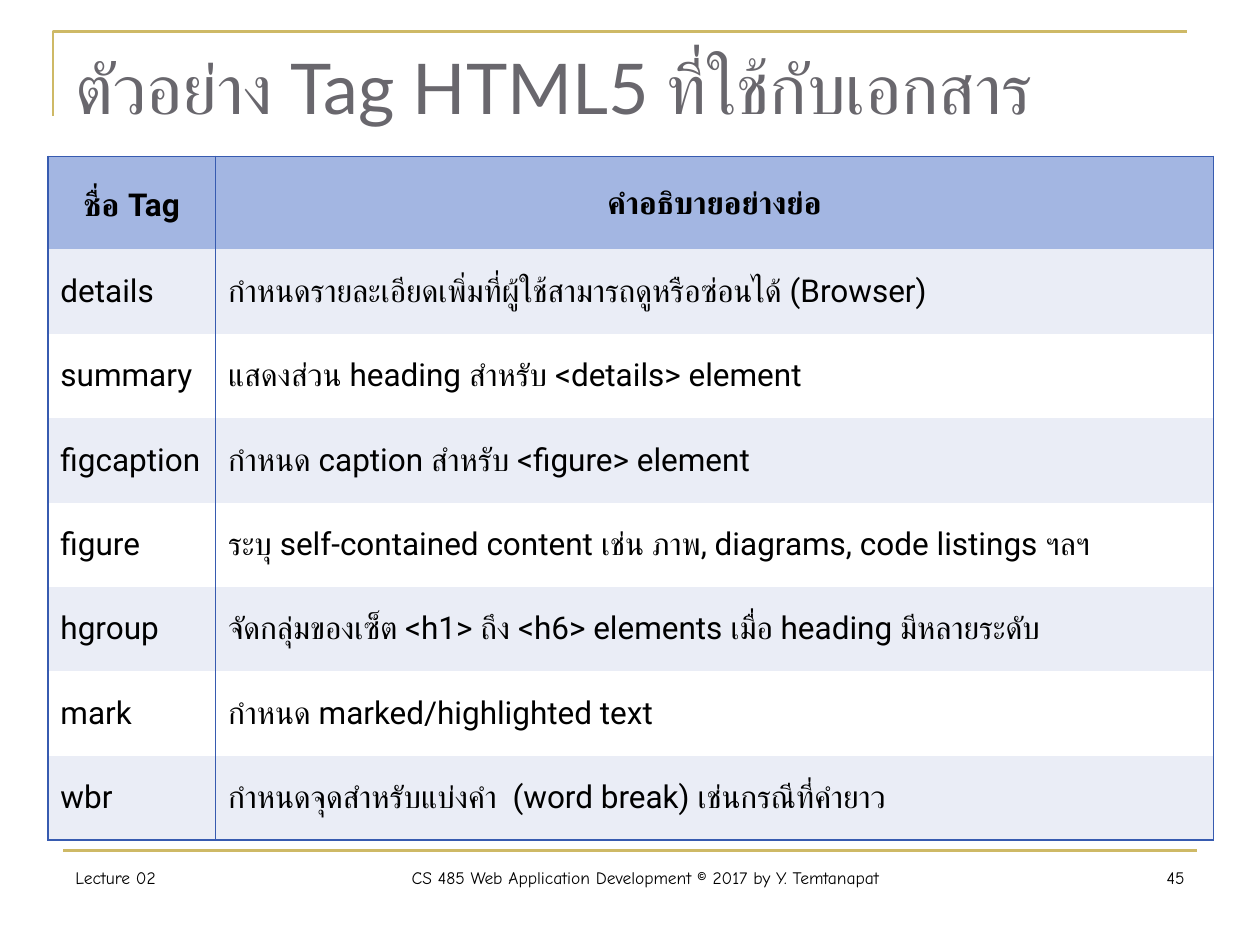
from lxml import etree
from pptx import Presentation
from pptx.dml.color import RGBColor
from pptx.enum import shapes, text
from pptx.oxml.ns import qn
from pptx.util import Inches, Pt

# Content
TITLE = "ตัวอย่าง Tag HTML5 ที่ใช้กับเอกสาร"
HEADER = ("ชื่อ Tag", "คำอธิบายอย่างย่อ")
TAGS = [
    ("details", "กำหนดรายละเอียดเพิ่มที่ผู้ใช้สามารถดูหรือซ่อนได้ (Browser)"),
    ("summary", "แสดงส่วน heading สำหรับ <details> element"),
    ("figcaption", "กำหนด caption สำหรับ <figure> element"),
    ("figure", "ระบุ self-contained content เช่น ภาพ, diagrams, code listings ฯลฯ"),
    ("hgroup", "จัดกลุ่มของเซ็ต <h1> ถึง <h6> elements เมื่อ heading มีหลายระดับ"),
    ("mark", "กำหนด marked/highlighted text"),
    ("wbr", "กำหนดจุดสำหรับแบ่งคำ  (word break) เช่นกรณีที่คำยาว"),
]
LEFT, CENTER, RIGHT = text.PP_ALIGN.LEFT, text.PP_ALIGN.CENTER, text.PP_ALIGN.RIGHT
FOOTERS = [  # wording, width, alignment
    ("Lecture 02", 1.61, LEFT),
    ("CS 485 Web Application Development © 2017 by Y. Temtanapat", 6.02, CENTER),
    ("45", 1.37, RIGHT),
]
COLUMN_WIDTHS = (1.33, 7.92)
HEADER_HEIGHT, ROW_HEIGHT = 0.74, 0.67


class Theme:
    title_font, table_font, footer_font = "Lato", "Roboto", "Comic Neue"
    title_size, table_size, footer_size = 40, 18, 10
    title_color, text_color, rule_color = "69676D", "000000", "CEB966"
    header_fill, band_fills, border = "A3B6E2", ("EAEDF6", "FFFFFF"), "375BB0"
    line_width = 1.5


def write(frame, wording, font, size, color, align=LEFT, bold=False):
    paragraph = frame.paragraphs[0]
    paragraph.alignment = align
    run = paragraph.add_run()
    run.text = wording
    run.font.name, run.font.size, run.font.bold = font, Pt(size), bold
    run.font.color.rgb = RGBColor.from_string(color)
    return paragraph


def style_rule(shape):
    shape.line.color.rgb = RGBColor.from_string(Theme.rule_color)
    shape.line.width = Pt(Theme.line_width)


def set_borders(cell, sides):
    properties = cell._tc.get_or_add_tcPr()
    for side in "LRTB":
        line = etree.SubElement(properties, qn(f"a:ln{side}"), w=str(Pt(1)))
        if side in sides:
            fill = etree.SubElement(line, qn("a:solidFill"))
            etree.SubElement(fill, qn("a:srgbClr"), val=Theme.border)
        else:
            etree.SubElement(line, qn("a:noFill"))


def add_rules(slide):
    builder = slide.shapes.build_freeform(Inches(0.42), Inches(0.92))
    builder.add_line_segments(
        [(Inches(0.42), Inches(0.25)), (Inches(9.42), Inches(0.25))], close=False)
    corner = builder.convert_to_shape()
    corner.shadow.inherit = False
    corner.fill.background()
    style_rule(corner)
    rule = slide.shapes.add_connector(
        shapes.MSO_CONNECTOR.STRAIGHT, Inches(0.5), Inches(6.75), Inches(9.5), Inches(6.75))
    style_rule(rule)
    etree.SubElement(rule._element.spPr, qn("a:effectLst"))


def add_title(slide):
    title = slide.shapes.title
    title.left, title.top = Inches(0.5), Inches(0.3)
    title.width, title.height = Inches(9), Inches(1.25)
    title.text_frame.vertical_anchor = text.MSO_ANCHOR.TOP
    write(title.text_frame, TITLE, Theme.title_font, Theme.title_size, Theme.title_color)


def add_footers(slide):
    left = 0.5
    for wording, width, align in FOOTERS:
        box = slide.shapes.add_textbox(Inches(left), Inches(6.83), Inches(width), Inches(0.5))
        box.text_frame.word_wrap = True
        write(box.text_frame, wording, Theme.footer_font, Theme.footer_size,
              Theme.text_color, align)
        left += width


def add_tag_table(slide):
    rows = [HEADER] + TAGS
    height = HEADER_HEIGHT + ROW_HEIGHT * len(TAGS)
    table = slide.shapes.add_table(
        len(rows), len(HEADER), Inches(0.38), Inches(1.24),
        Inches(sum(COLUMN_WIDTHS)), Inches(height)).table
    for column, width in zip(table.columns, COLUMN_WIDTHS):
        column.width = Inches(width)
    for r, row in enumerate(rows):
        is_header = r == 0
        table.rows[r].height = Inches(HEADER_HEIGHT if is_header else ROW_HEIGHT)
        sides = "LR" + ("T" if is_header else "") + ("B" if r == len(TAGS) else "")
        color = Theme.header_fill if is_header else Theme.band_fills[(r - 1) % 2]
        for c, wording in enumerate(row):
            cell = table.cell(r, c)
            set_borders(cell, sides)
            cell.fill.solid()
            cell.fill.fore_color.rgb = RGBColor.from_string(color)
            cell.vertical_anchor = text.MSO_ANCHOR.MIDDLE
            paragraph = write(cell.text_frame, wording, Theme.table_font, Theme.table_size,
                              Theme.text_color, CENTER if is_header else LEFT, is_header)
            if is_header:
                cell.margin_left = cell.margin_right = Inches(0.07)
                cell.margin_top = cell.margin_bottom = 0
                paragraph.line_spacing = 1.15


def main():
    presentation = Presentation()
    presentation.slide_width, presentation.slide_height = Inches(10), Inches(7.5)
    slide = presentation.slides.add_slide(presentation.slide_layouts[5])
    add_rules(slide)
    add_title(slide)
    add_footers(slide)
    add_tag_table(slide)
    presentation.save("out.pptx")


if __name__ == "__main__":
    main()
